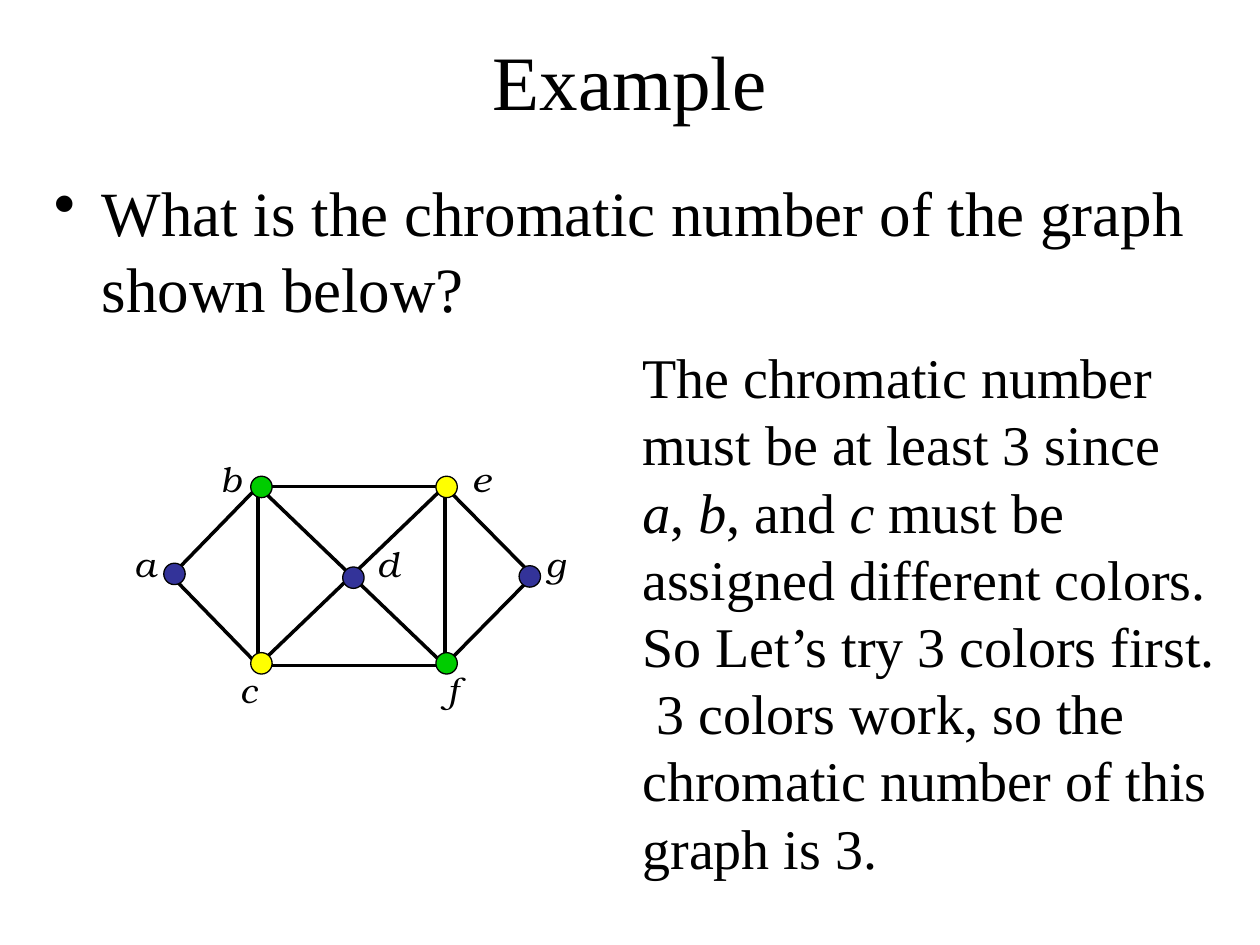
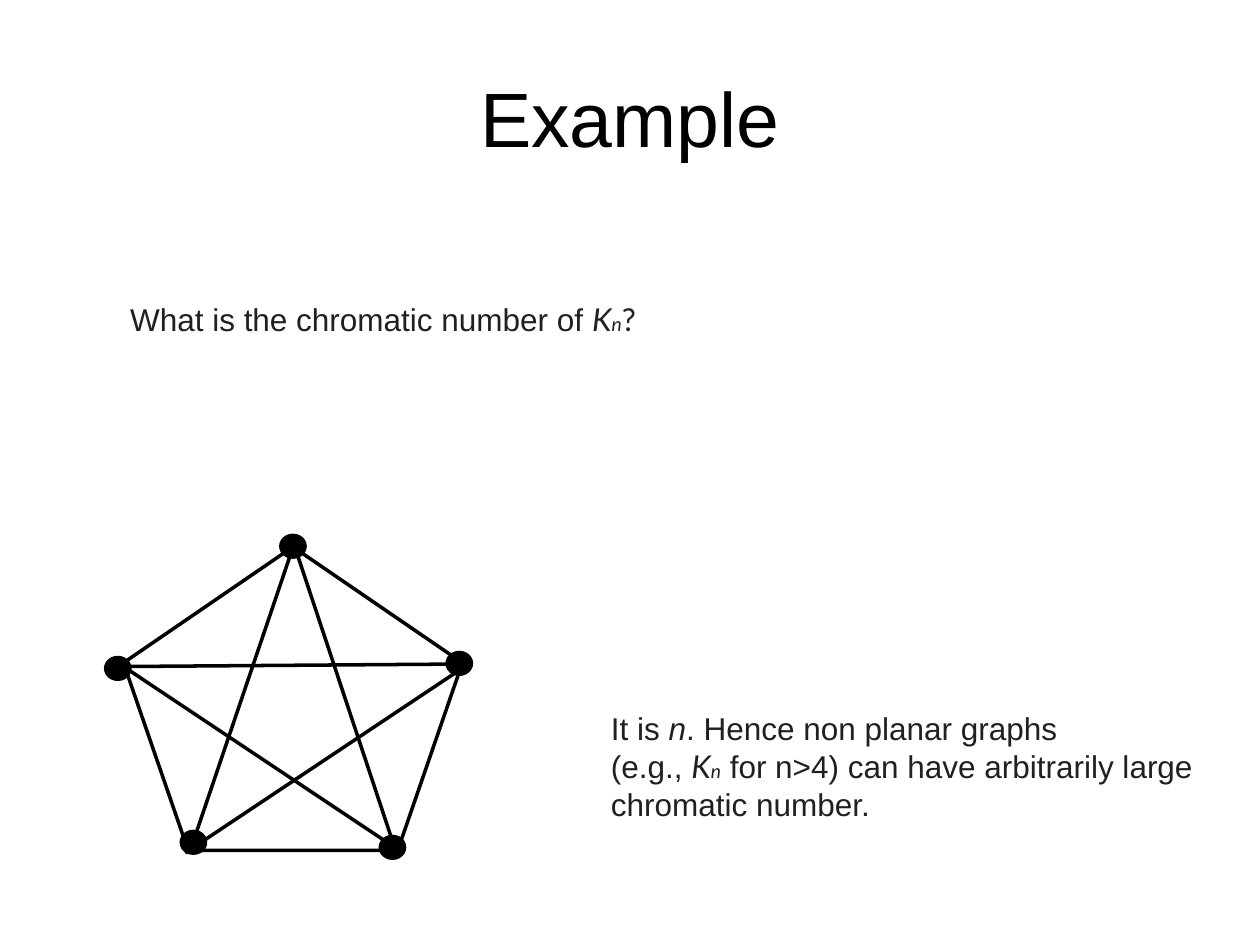
from dataclasses import dataclass

from lxml import etree
from pptx import Presentation, util as u
from pptx.dml.color import RGBColor
from pptx.enum import shapes, text
from pptx.oxml.ns import qn


@dataclass(frozen=True)
class Theme:
    serif: str = "Times New Roman"
    sans: str = "Arial"
    symbol: str = "Lato"
    label: str = "TeX Gyre Bonum"
    black: str = "000000"
    ink: str = "231F20"
    blue: str = "333399"
    yellow: str = "FFFF00"
    green: str = "00CC00"
    title_size: int = 44
    bullet_size: int = 36
    answer_size: int = 32
    label_size: int = 20
    note_size: int = 18
    index_size: int = 11
    edge_width: float = 2
    outline_width: float = 0.75


class GraphDeck:
    """Holds the style and the current slide."""

    def __init__(self, theme):
        self.theme = theme
        self.deck = Presentation()
        self.deck.slide_width, self.deck.slide_height = u.Inches(10), u.Inches(7.5)
        self.page = None

    def new_page(self):
        self.page = self.deck.slides.add_slide(self.deck.slide_layouts[6])

    def text_box(self, at, lines, font, size, color, align=text.PP_ALIGN.LEFT,
                 anchor=text.MSO_ANCHOR.TOP):
        """Lines hold spans of (text, changes); changes may set font, size, italic."""
        box = self.page.shapes.add_textbox(*map(u.Inches, at))
        frame = box.text_frame
        frame.word_wrap = True
        frame.vertical_anchor = anchor
        para = frame.paragraphs[0]
        para.alignment = align
        for number, line in enumerate(lines):
            if number:
                para.add_line_break()
            for words, changes in line:
                span = para.add_run()
                span.text = words
                span.font.name = changes.get("font", font)
                span.font.size = u.Pt(changes.get("size", size))
                span.font.italic = changes.get("italic", False)
                span.font.color.rgb = RGBColor.from_string(color)
        return box

    def title(self, words, font, top, height):
        self.text_box((0.5, top, 9, height), [[(words, {})]], font,
                      self.theme.title_size, self.theme.black,
                      text.PP_ALIGN.CENTER, text.MSO_ANCHOR.MIDDLE)

    def bullet(self, at, words):
        box = self.text_box(at, [[(words, {})]], self.theme.serif,
                            self.theme.bullet_size, self.theme.black)
        para = box.text_frame.paragraphs[0]
        para.space_before = u.Pt(4)
        props = para._p.get_or_add_pPr()
        props.set("marL", str(u.Inches(0.38)))
        props.set("indent", str(u.Inches(-0.38)))
        etree.SubElement(props, qn("a:buChar")).set("char", "•")

    def label(self, letter, x, y):
        self.text_box((x - 0.25, y - 0.25, 0.5, 0.5), [[(letter, {"italic": True})]],
                      self.theme.label, self.theme.label_size, self.theme.black,
                      text.PP_ALIGN.CENTER, text.MSO_ANCHOR.MIDDLE)

    def edge(self, start, end):
        line = self.page.shapes.add_connector(
            shapes.MSO_CONNECTOR.STRAIGHT, *map(u.Inches, (*start, *end)))
        line.line.color.rgb = RGBColor.from_string(self.theme.black)
        line.line.width = u.Pt(self.theme.edge_width)
        etree.SubElement(line._element.spPr, qn("a:effectLst"))

    def shape(self, kind, at, fill, width):
        shape = self.page.shapes.add_shape(kind, *map(u.Inches, at))
        shape.shadow.inherit = False
        if fill:
            shape.fill.solid()
            shape.fill.fore_color.rgb = RGBColor.from_string(fill)
        else:
            shape.fill.background()
        shape.line.color.rgb = RGBColor.from_string(self.theme.black)
        shape.line.width = u.Pt(width)

    def node(self, left, top, width, height, fill):
        self.shape(shapes.MSO_SHAPE.OVAL, (left, top, width, height), fill,
                   self.theme.outline_width)

    def pentagon(self, at):
        self.shape(shapes.MSO_SHAPE.REGULAR_PENTAGON, at, None, self.theme.edge_width)


theme = Theme()
show = GraphDeck(theme)
italic = {"italic": True}
k_n = [("K", {"font": theme.symbol, "italic": True}),
       ("n", {"font": theme.symbol, "italic": True, "size": theme.index_size})]

# Slide 1: a graph that needs three colours
show.new_page()
show.title("Example", theme.serif, 0.17, 0.92)
show.text_box((5, 2.67, 4.75, 4.36), [[
    ("The chromatic number must be at least 3 since ", {}),
    ("a", italic), (", ", {}), ("b", italic), (", and ", {}), ("c", italic),
    (" must be assigned different colors. So Let’s try 3 colors first.  3 colors work, "
     "so the chromatic number of this graph is 3.", {}),
]], theme.serif, theme.answer_size, theme.black)
show.bullet((0.33, 1.33, 9.25, 1.67),
            "What is the chromatic number of the graph shown below?")

# Edges run between the joints; the two diagonals cross at d
joints = {"a": (1.36, 4.57), "b": (2.05, 3.86), "c": (2.05, 5.28),
          "e": (3.53, 3.86), "f": (3.53, 5.28), "g": (4.23, 4.57)}
for first, second in "be bc cf ef bf ce ba ac eg fg".split():
    show.edge(joints[first], joints[second])

# Nodes: left, top, colour, then the middle of the label
nodes = {
    "a": (1.3, 4.47, theme.blue, 1.15, 4.47),
    "b": (1.99, 3.78, theme.green, 1.83, 3.8),
    "c": (1.99, 5.18, theme.yellow, 1.97, 5.47),
    "d": (2.72, 4.5, theme.blue, 3.08, 4.47),
    "e": (3.46, 3.78, theme.yellow, 3.82, 3.8),
    "f": (3.46, 5.18, theme.green, 3.59, 5.47),
    "g": (4.12, 4.49, theme.blue, 4.41, 4.47),
}
for letter, (left, top, fill, label_x, label_y) in nodes.items():
    show.label(letter, label_x, label_y)
    show.node(left, top, 0.17, 0.17, fill)

# Slide 2: the complete graph
show.new_page()
show.title("Example", theme.sans, 0.3, 1.25)
show.text_box((0.54, 2.33, 5, 0.71),
              [[("What is the chromatic number of ", {}), *k_n,
                ("?", {"font": theme.symbol})]],
              theme.sans, theme.note_size, theme.ink, text.PP_ALIGN.CENTER)

# Pentagon, its diagonals and its corners
show.pentagon((0.98, 4.34, 2.69, 2.41))
diagonals = [((0.98, 5.29), (3.14, 6.73)), ((1, 5.29), (3.71, 5.27)),
             ((2.32, 4.36), (1.51, 6.75)), ((2.34, 4.34), (3.14, 6.75)),
             ((3.69, 5.29), (1.47, 6.77))]
for start, end in diagonals:
    show.edge(start, end)
for left, top in [(2.22, 4.24), (3.54, 5.17), (0.83, 5.21), (3.01, 6.63), (1.43, 6.59)]:
    show.node(left, top, 0.21, 0.19, theme.black)

show.text_box((4.75, 5.58, 4.95, 1.01), [
    [("It is ", {}), ("n", italic), (". Hence non planar graphs", {})],
    [("(e.g., ", {}), *k_n, (" for n>4) can have arbitrarily large", {})],
    [("chromatic number.", {})],
], theme.sans, theme.note_size, theme.ink)

show.deck.save("out.pptx")
